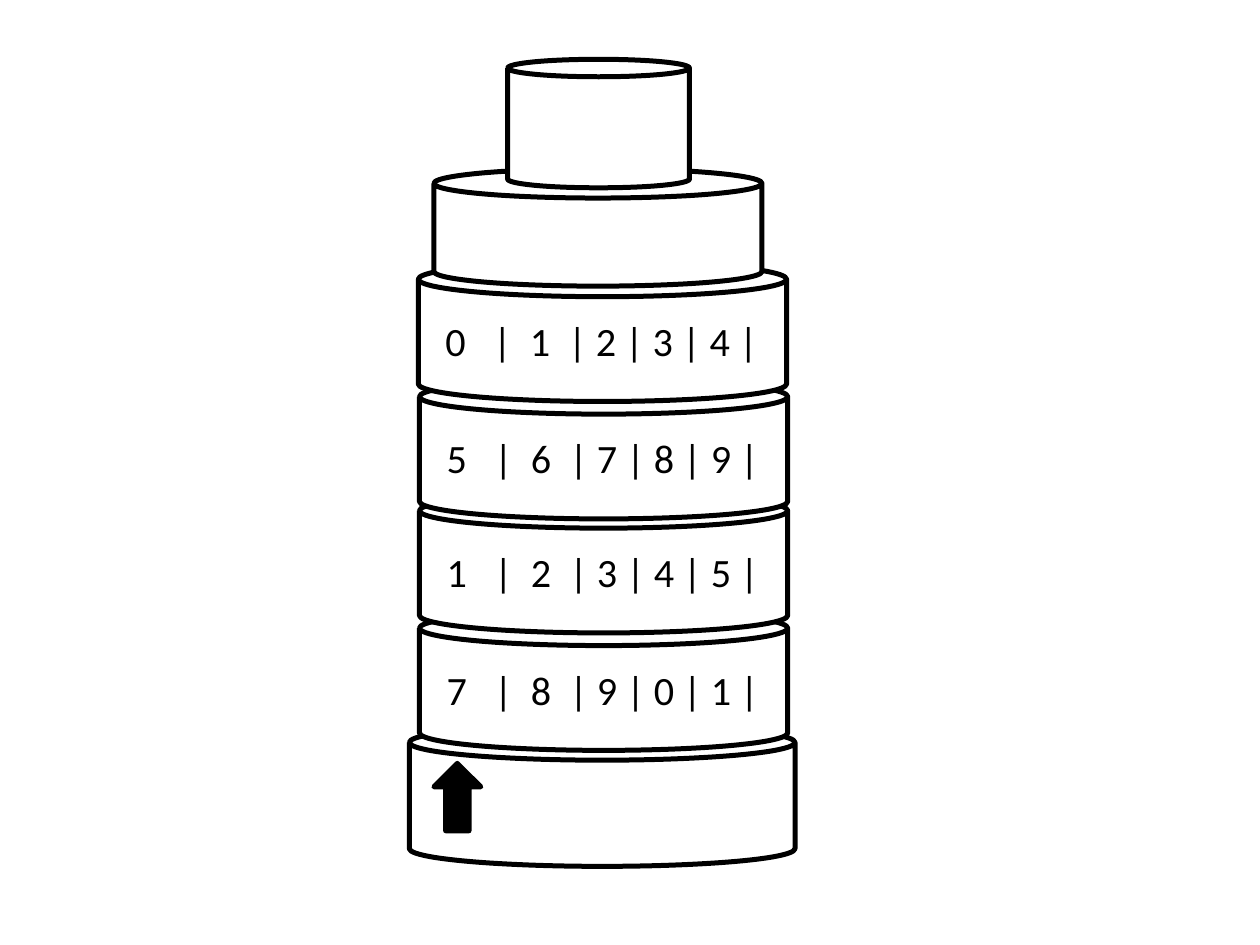
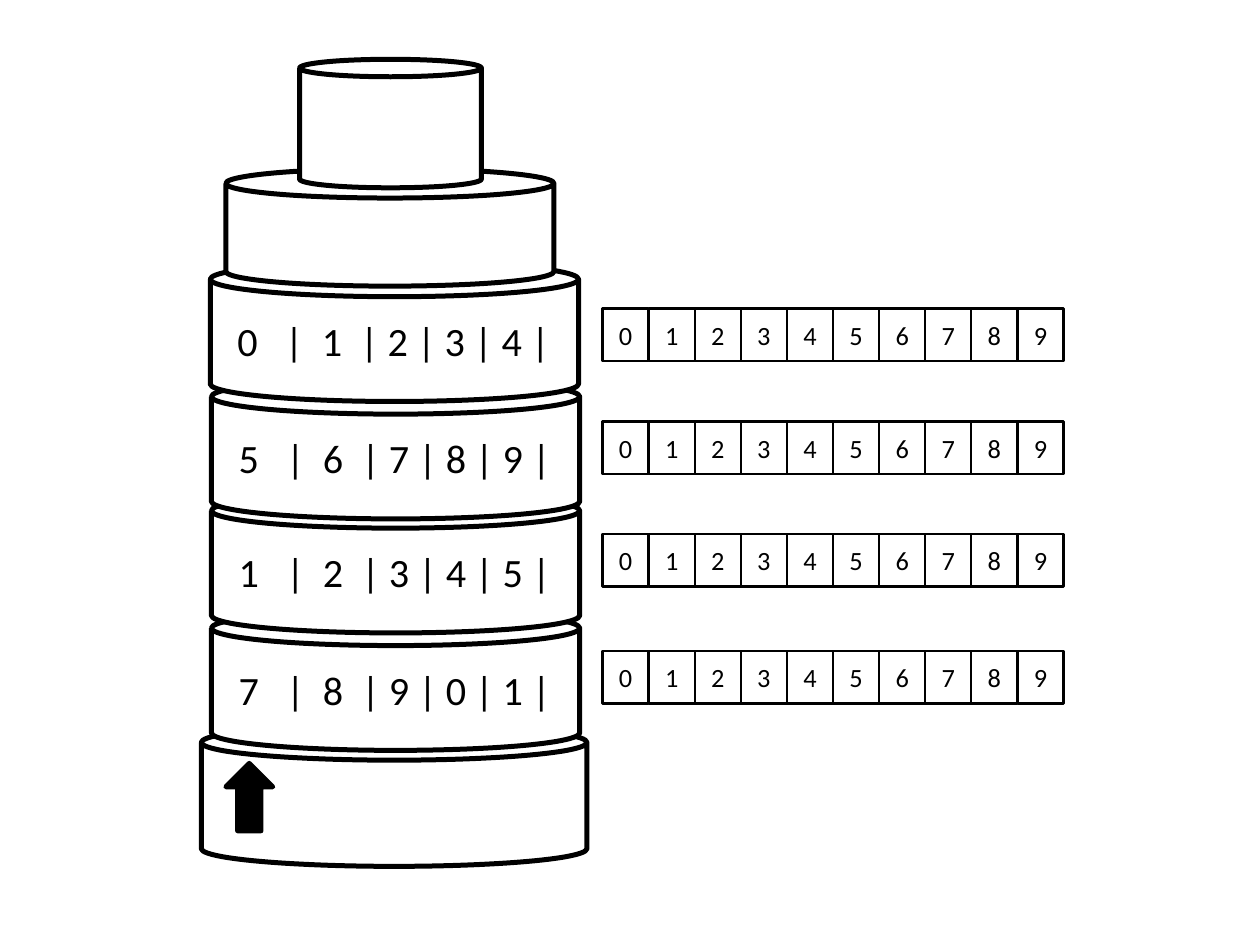
"""Draw a number lock with stacked rings, alone and beside its digit strips."""
import dataclasses

import pptx
import pptx.dml.color
import pptx.enum.shapes
import pptx.enum.text
import pptx.oxml.ns
import pptx.util
from lxml import etree

Pt = pptx.util.Pt
Kind = pptx.enum.shapes.MSO_SHAPE
Align = pptx.enum.text.PP_ALIGN


@dataclasses.dataclass(frozen=True)
class Theme:
    ink: pptx.dml.color.RGBColor = pptx.dml.color.RGBColor(0, 0, 0)
    paper: pptx.dml.color.RGBColor = pptx.dml.color.RGBColor(255, 255, 255)
    face: str = "Calibri"
    large: float = 18
    small: float = 11.8
    thick: float = 2.25
    thin: float = 1


THEME = Theme()
SIZE = (564.48, 423.36)
RINGS = [
    (4.5, 247, "7\t|\t8\t| 9 | 0 | 1 |"),
    (4.5, 194.4, "1\t|\t2\t| 3 | 4 | 5 |"),
    (4.5, 143.3, "5\t|\t6\t| 7 | 8 | 9 |"),
    (4, 90.7, "0\t|\t1\t| 2 | 3 | 4 |"),
]
RING_SIZE = (165, 62.6)
RING_INSET = 12.2
RING_TABS = (21.3, 37.8, 55)
STRIP_TOPS = (138.2, 188.8, 239.2, 291.6)


def add_shape(slide, kind, box, fill, weight):
    shape = slide.shapes.add_shape(kind, *map(Pt, box))
    shape.shadow.inherit = False
    shape.fill.solid()
    shape.fill.fore_color.rgb = fill
    shape.line.color.rgb = THEME.ink
    shape.line.width = Pt(weight)
    return shape


def add_can(slide, box):
    return add_shape(slide, Kind.CAN, box, THEME.paper, THEME.thick)


def set_text(shape, text, size, align=Align.CENTER, inset=0, tabs=()):
    frame = shape.text_frame
    frame.word_wrap = True
    frame.vertical_anchor = pptx.enum.text.MSO_ANCHOR.MIDDLE
    frame.margin_left = Pt(inset)
    frame.margin_right = 0
    line = frame.paragraphs[0]
    line.text = text
    line.alignment = align
    if tabs:
        qn = pptx.oxml.ns.qn
        stops = etree.SubElement(line._p.get_or_add_pPr(), qn("a:tabLst"))
        for stop in tabs:
            etree.SubElement(stops, qn("a:tab"), pos=str(int(Pt(stop))), algn="l")
    line.font.name = THEME.face
    line.font.size = Pt(size)
    line.font.color.rgb = THEME.ink


def add_lock(slide, left, top):
    add_can(slide, (left, top + 298.1, 172.8, 63.4))
    for x, y, text in RINGS:
        ring = add_can(slide, (left + x, top + y, *RING_SIZE))
        set_text(ring, text, THEME.large, Align.LEFT, RING_INSET, RING_TABS)
    add_can(slide, (left + 11, top + 49, 147, 52.6))
    knob = add_can(slide, (left + 44, top, 81.5, 57.6))
    knob.adjustments[0] = 0.136
    mark = (left + 11, top + 315.4, 21, 30.2)
    add_shape(slide, Kind.UP_ARROW, mark, THEME.ink, THEME.thick)


def add_strip(slide, left, top, width, height, count=10):
    step = width / count
    for digit in range(count):
        box = (left + digit * step, top, step, height)
        cell = add_shape(slide, Kind.RECTANGLE, box, THEME.paper, THEME.thin)
        set_text(cell, str(digit), THEME.small)


def main():
    deck = pptx.Presentation()
    deck.slide_width, deck.slide_height = map(Pt, SIZE)
    blank = deck.slide_layouts[6]
    add_lock(deck.slides.add_slide(blank), 183.4, 26.6)
    pair = deck.slides.add_slide(blank)
    add_lock(pair, 90.2, 26.6)
    for top in STRIP_TOPS:
        add_strip(pair, 270, top, 206.5, 23.6)
    deck.save("out.pptx")


if __name__ == "__main__":
    main()
